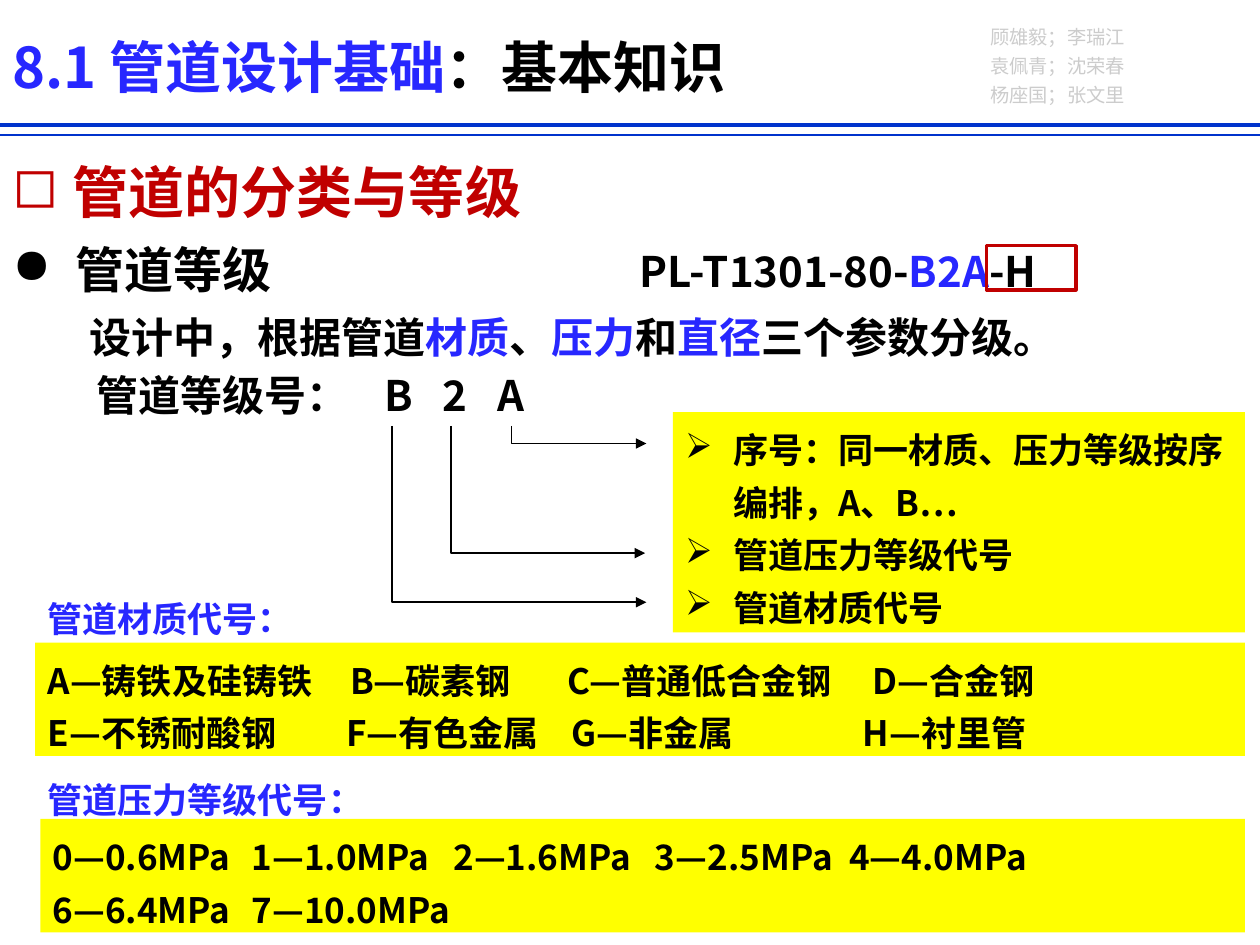
from dataclasses import dataclass
from typing import Optional

from lxml.etree import SubElement
from pptx import Presentation
from pptx.dml.color import RGBColor
from pptx.enum.shapes import MSO_CONNECTOR as Link, MSO_SHAPE as Form
from pptx.enum.text import MSO_ANCHOR as Anchor, MSO_AUTO_SIZE as Fit, PP_ALIGN as Align
from pptx.oxml.ns import qn
from pptx.util import Inches, Pt

BLACK = RGBColor(0x00, 0x00, 0x00)
BLUE = RGBColor(0x27, 0x27, 0xFF)
RULE = RGBColor(0x00, 0x33, 0xCC)
RED = RGBColor(0xC0, 0x00, 0x00)
GREY = RGBColor(0xCC, 0xCC, 0xCC)
YELLOW = RGBColor(0xFF, 0xFF, 0x00)
FONT = "Noto Sans CJK SC"
COLS, ROWS = 100, 75

deck = Presentation()
deck.slide_width, deck.slide_height = Inches(10), Inches(7.5)
slide = deck.slides.add_slide(deck.slide_layouts[6])
shapes = slide.shapes


def col(n: float) -> int:
    return round(deck.slide_width * n / COLS)


def row(n: float) -> int:
    return round(deck.slide_height * n / ROWS)


@dataclass
class Para:
    runs: tuple
    size: float = 20
    bold: bool = True
    align: Align = Align.LEFT
    lead: float = 1.25
    left: float = 0
    mark: str = ""
    tabs: tuple = ()


@dataclass
class Box:
    at: tuple
    paras: list
    fill: Optional[RGBColor] = None


@dataclass
class Wire:
    start: tuple
    end: tuple
    color: RGBColor = BLACK
    width: float = 1
    bent: bool = False


def write(para, item: Para) -> None:
    para.alignment = item.align
    para.line_spacing = item.lead
    props = para._p.get_or_add_pPr()
    if item.left:
        props.set("marL", str(col(item.left)))
        props.set("indent", str(-col(item.left) if item.mark else 0))
    if item.mark:
        SubElement(props, qn("a:buChar"), char=item.mark)
    if item.tabs:
        stops = SubElement(props, qn("a:tabLst"))
        for stop in item.tabs:
            SubElement(stops, qn("a:tab"), pos=str(col(stop)), algn="l")
    for text, color in item.runs:
        run = para.add_run()
        run.text = text
        font = run.font
        font.name, font.size, font.bold = FONT, Pt(item.size), item.bold
        font.color.rgb = color
        SubElement(run._r.get_or_add_rPr(), qn("a:ea"), typeface=FONT)


def place(at: tuple) -> tuple:
    x, y, w, h = at
    return col(x), row(y), col(w), row(h)


def draw_box(box: Box) -> None:
    if box.fill is None:
        shape = shapes.add_textbox(*place(box.at))
    else:
        shape = shapes.add_shape(Form.RECTANGLE, *place(box.at))
        shape.shadow.inherit = False
        shape.fill.solid()
        shape.fill.fore_color.rgb = box.fill
        shape.line.fill.background()
    frame = shape.text_frame
    frame.word_wrap = True
    frame.auto_size = Fit.SHAPE_TO_FIT_TEXT
    frame.vertical_anchor = Anchor.TOP
    for i, item in enumerate(box.paras):
        write(frame.add_paragraph() if i else frame.paragraphs[0], item)


def draw_wire(wire: Wire) -> None:
    kind = Link.ELBOW if wire.bent else Link.STRAIGHT
    (x1, y1), (x2, y2) = wire.start, wire.end
    line = shapes.add_connector(kind, col(x1), row(y1), col(x2), row(y2))
    line.line.color.rgb = wire.color
    line.line.width = Pt(wire.width)
    props = line._element.spPr
    if wire.bent:
        guides = props.find(qn("a:prstGeom")).get_or_add_avLst()
        SubElement(guides, qn("a:gd"), name="adj1", fmla="val 0")
        SubElement(line.line._get_or_add_ln(), qn("a:tailEnd"), type="triangle")
    SubElement(props, qn("a:effectLst"))


def draw_frame(at: tuple, color: RGBColor) -> None:
    shape = shapes.add_shape(Form.RECTANGLE, *place(at))
    shape.shadow.inherit = False
    shape.fill.background()
    shape.line.color.rgb = color
    shape.line.width = Pt(2)


def plain(text: str, color: RGBColor = BLACK, **style) -> Para:
    return Para(((text, color),), **style)


NAMES = ("顾雄毅；李瑞江", "袁佩青；沈荣春", "杨座国；张文里")
KEYS = ("序号：同一材质、压力等级按序编排，A、B…", "管道压力等级代号", "管道材质代号")
GRADE = (
    ("设计中，根据管道", BLACK), ("材质", BLUE), ("、", BLACK), ("压力", BLUE),
    ("和", BLACK), ("直径", BLUE), ("三个参数分级。", BLACK),
)
CODE = (("PL-T1301-80-", BLACK), ("B2A", BLUE), ("-H", BLACK))
STEPS = (15.8, 31.8, 47.8, 63.2)

BOXES = [
    Box((77.6, 1.1, 14.2, 7.7), [
        plain(name, GREY, size=11, bold=False, align=Align.JUSTIFY) for name in NAMES]),
    Box((0, 2.1, 100, 6.4), [
        Para((("8.1 管道设计基础", BLUE), ("：基本知识", BLACK)), size=32, lead=1)]),
    Box((0, 10.7, 98.8, 18.2), [
        plain("管道的分类与等级", RED, size=32, align=Align.JUSTIFY, left=4.8, mark="◻"),
        plain("管道等级", size=28, align=Align.JUSTIFY, left=5, mark="●"),
        Para(GRADE, size=24, align=Align.JUSTIFY, left=6.1)]),
    Box((49.8, 19, 36, 5), [Para(CODE, size=24, lead=1)]),
    Box((6.7, 28.8, 44.4, 5), [
        plain("管道等级号：\tB\t2\tA", size=24, lead=1, tabs=(22.8, 27.4, 31.8))]),
    Box((53.4, 32.7, 45.4, 17.5), [plain(key, left=3.8, mark="➢") for key in KEYS], YELLOW),
    Box((2.8, 51, 96, 9), [
        plain("A—铸铁及硅铸铁\tB—碳素钢\tC—普通低合金钢\tD—合金钢", tabs=(24, 41.3, 65.5)),
        plain("E—不锈耐酸钢\tF—有色金属\tG—非金属\tH—衬里管", tabs=(23.7, 41.6, 64.7))], YELLOW),
    Box((3.2, 65, 95.6, 9), [
        plain("0—0.6MPa\t1—1.0MPa\t2—1.6MPa\t3—2.5MPa\t4—4.0MPa", tabs=STEPS),
        plain("6—6.4MPa\t7—10.0MPa", tabs=STEPS)], YELLOW),
    Box((2.8, 46.1, 50.9, 4.8), [plain("管道材质代号：", BLUE)]),
    Box((2.8, 60.5, 51.6, 4.8), [plain("管道压力等级代号：", BLUE)]),
]
WIRES = [
    Wire((0, 9.9), (100, 9.9), RULE, 2.25),
    Wire((0, 10.7), (100, 10.7), RULE),
    Wire((40.6, 33.8), (51.3, 35.2), bent=True),
    Wire((35.8, 33.8), (51.2, 43.9), bent=True),
    Wire((31.1, 33.8), (51.3, 47.8), bent=True),
]

for box in BOXES:
    draw_box(box)
for wire in WIRES:
    draw_wire(wire)
draw_frame((78.3, 19.5, 7.1, 3.5), RED)
deck.save("out.pptx")
